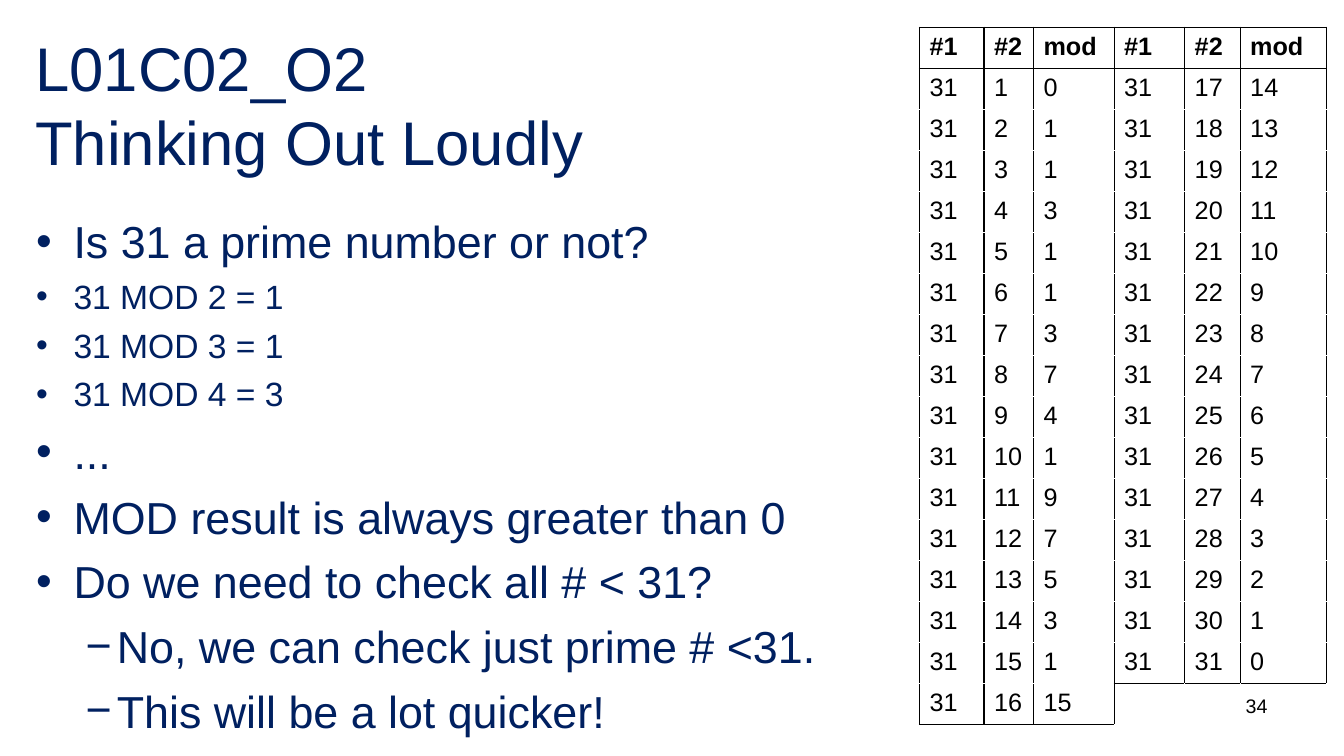
from lxml.etree import SubElement
from pptx import Presentation
from pptx.dml.color import RGBColor
from pptx.enum.text import MSO_ANCHOR as Anchor, MSO_AUTO_SIZE as AutoSize, PP_ALIGN as Align
from pptx.oxml.ns import qn
from pptx.util import Inches, Pt

NAVY, BLACK, WHITE = "002060", "000000", "FFFFFF"
NUMBER = 31
LEFT_ROWS = 16
HEADINGS = ("#1", "#2", "mod")
COLUMN_SHARES = (4.8, 3.68, 6, 5.25, 4.13, 6.45)
ROW_SHARE = 5.43
POINTS = (
    (0, 32, "Is 31 a prime number or not?"),
    (0, 24, "31 MOD 2 = 1"),
    (0, 24, "31 MOD 3 = 1"),
    (0, 24, "31 MOD 4 = 3"),
    (0, 32, "..."),
    (0, 32, "MOD result is always greater than 0"),
    (0, 32, "Do we need to check all # < 31?"),
    (1, 32, "No, we can check just prime # <31."),
    (1, 32, "This will be a lot quicker!"),
)
BULLETS = (("•", 0.38, -0.37), ("−", 0.81, -0.31))
SPACE_BEFORE = {32: 7.8, 24: 6}


def color(value):
    """Turn a hex string into a colour."""
    return RGBColor.from_string(value)


class Deck:
    """Hold the style and the current slide; places are percentages of its size."""

    font = "Arial"
    border_width = Pt(0.96)

    def __init__(self):
        """Open a wide presentation with one titled slide."""
        self.show = Presentation()
        self.show.slide_width, self.show.slide_height = Inches(13.33), Inches(7.5)
        self.slide = self.show.slides.add_slide(self.show.slide_layouts[5])

    def across(self, share):
        """Give a percentage of the slide width."""
        return int(self.show.slide_width * share / 100)

    def down(self, share):
        """Give a percentage of the slide height."""
        return int(self.show.slide_height * share / 100)

    def box(self, left, top, width, height):
        """Give a frame in slide units."""
        return self.across(left), self.down(top), self.across(width), self.down(height)

    def put_words(self, paragraph, words, size, ink, bold=False):
        """Put words in a paragraph and format them."""
        paragraph.text = words
        for run in paragraph.runs:
            run.font.name, run.font.size, run.font.bold = self.font, Pt(size), bold
            run.font.color.rgb = color(ink)

    def title(self, words, frame):
        """Fill and place the title."""
        heading = self.slide.shapes.title
        heading.left, heading.top, heading.width, heading.height = self.box(*frame)
        heading.text_frame.auto_size = AutoSize.NONE
        heading.text_frame.vertical_anchor = Anchor.MIDDLE
        paragraph = heading.text_frame.paragraphs[0]
        self.put_words(paragraph, words, 44, NAVY)
        paragraph.alignment = Align.LEFT

    def text_area(self, frame):
        """Add a wrapping text box and give its text frame."""
        area = self.slide.shapes.add_textbox(*self.box(*frame)).text_frame
        area.word_wrap = True
        return area

    def bullets(self, points, frame):
        """Add a bulleted list of two levels."""
        area = self.text_area(frame)
        for index, (level, size, words) in enumerate(points):
            paragraph = area.add_paragraph() if index else area.paragraphs[0]
            mark, margin, indent = BULLETS[level]
            paragraph.level = level
            paragraph.space_before = Pt(SPACE_BEFORE[size] if index else 0)
            properties = paragraph._p.get_or_add_pPr()
            properties.set("marL", str(Inches(margin)))
            properties.set("indent", str(Inches(indent)))
            SubElement(SubElement(properties, qn("a:buClr")), qn("a:srgbClr"), val=NAVY)
            SubElement(properties, qn("a:buFont"), typeface=self.font)
            SubElement(properties, qn("a:buChar"), char=mark)
            self.put_words(paragraph, words, size, NAVY)

    def page_number(self, words, frame):
        """Add the page number at the right of its frame."""
        paragraph = self.text_area(frame).paragraphs[0]
        self.put_words(paragraph, words, 14, BLACK)
        paragraph.alignment = Align.RIGHT

    def borders(self, cell, **inks):
        """Draw the sides of a cell in the given colours."""
        properties = cell._tc.get_or_add_tcPr()
        for side in "LRTB":
            line = SubElement(properties, qn(f"a:ln{side}"), w=str(self.border_width))
            SubElement(SubElement(line, qn("a:solidFill")), qn("a:srgbClr"), val=inks[side])

    def remainders(self, rows, left, top):
        """Add the table of remainders, whose right half is one row shorter."""
        frame = self.box(left, top, sum(COLUMN_SHARES), ROW_SHARE * len(rows))
        grid = self.slide.shapes.add_table(len(rows), len(COLUMN_SHARES), *frame).table
        grid.first_row = grid.horz_banding = False
        for column, share in zip(grid.columns, COLUMN_SHARES):
            column.width = self.across(share)
        half = len(HEADINGS)
        last = len(rows) - 1

        def level_ink(edge, column):
            """Give the colour of a horizontal edge."""
            end = len(rows) if column < half else last
            return BLACK if edge in (0, 1, end) else WHITE

        for r, values in enumerate(rows):
            grid.rows[r].height = self.down(ROW_SHARE)
            for c, value in enumerate(values):
                cell = grid.cell(r, c)
                self.put_words(cell.text_frame.paragraphs[0], str(value), 18, BLACK, r == 0)
                self.borders(
                    cell,
                    L=BLACK if r < last or c <= half else WHITE,
                    R=BLACK if r < last or c < half else WHITE,
                    T=level_ink(r, c),
                    B=level_ink(r + 1, c),
                )
                cell.fill.background()


def division(divisor):
    """Give one division as number, divisor and remainder, or blanks past the end."""
    if divisor > NUMBER:
        return ("",) * len(HEADINGS)
    return NUMBER, divisor, NUMBER % divisor


def main():
    """Build the slide and save it."""
    deck = Deck()
    deck.title("L01C02_O2 \nThinking Out Loudly", (1.88, 2.53, 43.51, 22.53))
    deck.bullets(POINTS, (1.88, 27.6, 66.77, 68.93))
    deck.page_number("34", (71.72, 91.07, 23.33, 6.93))
    rows = [HEADINGS * 2]
    rows += [division(n) + division(n + LEFT_ROWS) for n in range(1, LEFT_ROWS + 1)]
    deck.remainders(rows, 68.42, 3.6)
    deck.show.save("out.pptx")


if __name__ == "__main__":
    main()
